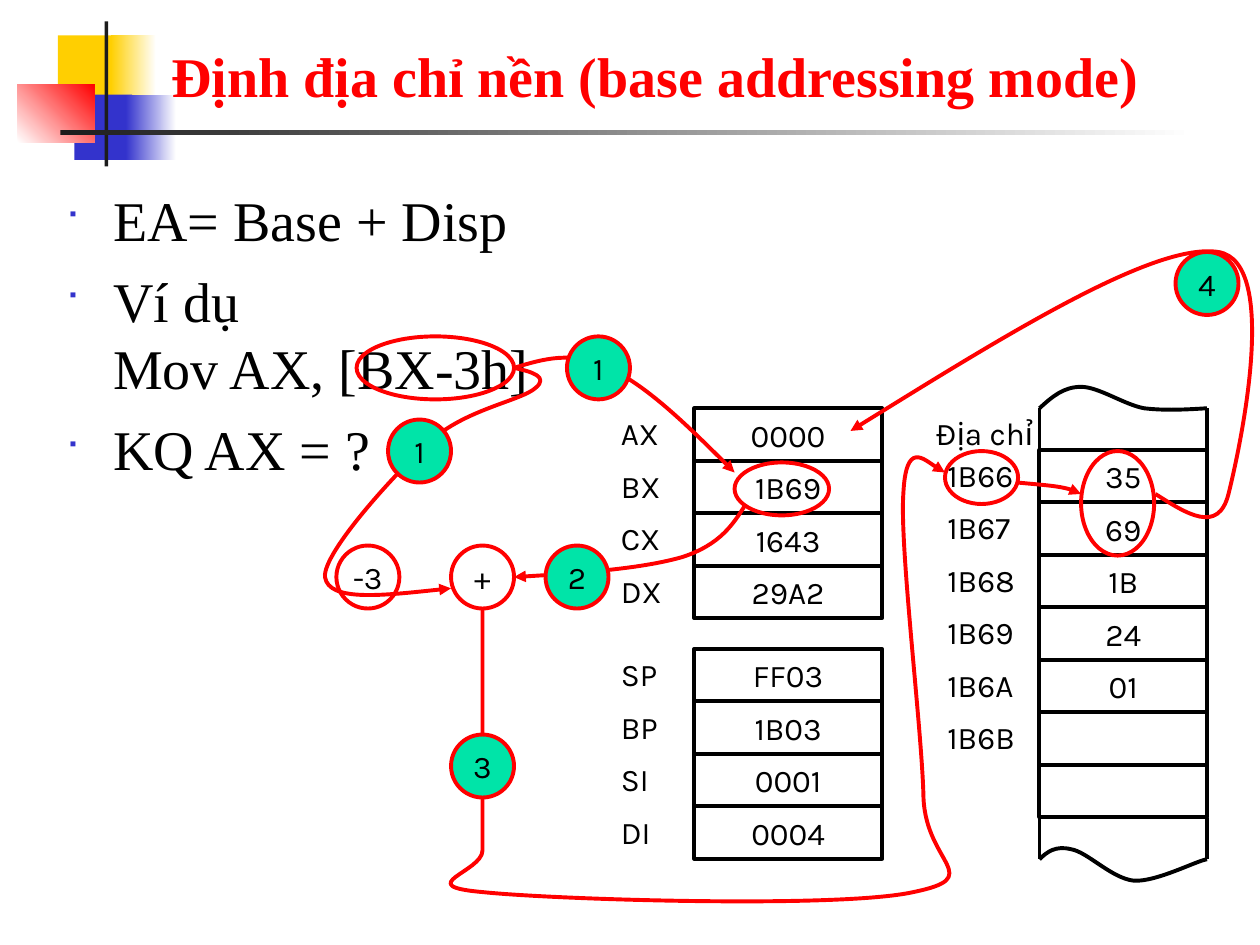
"""Build the slide on base addressing mode with its register and memory diagram."""
from lxml import etree
from pptx import Presentation
from pptx import util as u
from pptx.dml.color import RGBColor
from pptx.enum import shapes, text
from pptx.oxml.ns import qn

COLORS = {"black": "000000", "red": "FF0000", "green": "00E4A8", "yellow": "FFCF01",
          "blue": "3333CC", "dark": "1C1C1C", "white": "FFFFFF"}
TITLE = "Định địa chỉ nền (base addressing mode)"
BULLETS = ["EA= Base + Disp", "Ví dụ\vMov AX, [BX-3h]", "KQ AX = ?"]
DECORATION = [
    ((0.46, 0.28, 0.48, 0.52), ("yellow",), 0),
    ((0.88, 0.28, 0.36, 0.52), ("yellow", "white"), 0),
    ((0.59, 0.75, 0.46, 0.52), ("blue",), 0),
    ((1, 0.75, 0.4, 0.52), ("blue", "white"), 0),
    ((0.14, 0.67, 0.61, 0.46), ("white", "red"), 45),
    ((0.83, 0.17, 0.03, 1.15), ("dark",), 0),
    ((0.48, 1.03, 9, 0.04), ("dark", "white"), 0),
]
REGISTERS = [
    (3.24, [("AX", "0000"), ("BX", "1B69"), ("CX", "1643"), ("DX", "29A2")]),
    (5.15, [("SP", "FF03"), ("BP", "1B03"), ("SI", "0001"), ("DI", "0004")]),
]
MEMORY = [("1B66", "35"), ("1B67", "69"), ("1B68", "1B"), ("1B69", "24"),
          ("1B6A", "01"), ("1B6B", ""), ("", "")]
MEMORY_LEFT, MEMORY_WIDTH, MEMORY_TOP, MEMORY_BOTTOM = 8.25, 1.33, 3.57, 6.49
TORN_EDGES = [
    [(8.25, 3.24), (8.35, 3.15), (8.44, 3.07), (8.58, 3.07), (8.72, 3.07),
     (8.92, 3.21), (9.08, 3.24), (9.25, 3.26), (9.42, 3.25), (9.58, 3.24)],
    [(8.25, 6.82), (8.31, 6.76), (8.38, 6.71), (8.5, 6.74), (8.63, 6.76),
     (8.82, 6.97), (9, 6.99), (9.18, 7), (9.5, 6.83), (9.58, 6.82)],
]
HIGHLIGHTS = [(2.83, 2.67, 1.25, 0.5), (5.83, 3.67, 0.75, 0.42),
              (7.5, 3.58, 0.58, 0.42), (8.58, 3.58, 0.58, 0.83)]
FLOWS = [
    [(4.08, 2.92), (4.31, 2.85), (4.54, 2.78), (4.83, 2.92),
     (5.13, 3.06), (5.48, 3.4), (5.83, 3.75)],
    [(5.92, 4), (5.82, 4.16), (5.72, 4.32), (5.42, 4.42),
     (5.11, 4.51), (4.6, 4.55), (4.08, 4.58)],
    [(4.08, 2.92), (4.22, 2.95), (4.36, 2.99), (4.25, 3.08), (4.14, 3.18),
     (3.69, 3.25), (3.42, 3.5), (3.14, 3.75), (2.56, 4.39), (2.58, 4.58),
     (2.61, 4.78), (3.1, 4.72), (3.58, 4.67)],
    [(3.83, 4.83), (3.83, 5.3), (3.83, 5.76), (3.83, 6.08), (3.83, 6.4),
     (3.83, 6.58), (3.83, 6.75), (3.83, 6.92), (3.26, 7.03), (3.83, 7.08),
     (4.4, 7.14), (6.67, 7.21), (7.25, 7.08), (7.83, 6.96), (7.35, 6.86),
     (7.33, 6.33), (7.32, 5.81), (7.14, 4.35), (7.17, 3.92), (7.19, 3.49),
     (7.44, 3.72), (7.5, 3.75)],
    [(8.08, 3.83), (8.28, 3.85), (8.49, 3.86), (8.58, 3.92)],
    [(9.17, 3.92), (9.42, 4.08), (9.67, 4.24), (9.75, 3.92), (9.83, 3.6),
     (10.17, 2.08), (9.67, 2), (9.17, 1.92), (7.96, 2.67), (6.75, 3.42)],
]
STEPS = [(4.5, 2.67, "1", "green"), (3.08, 3.33, "1", "green"), (2.67, 4.33, "-3", None),
         (4.33, 4.33, "2", "green"), (3.58, 5.83, "3", "green"), (9.33, 2, "4", "green")]
ROW = 5 / 12


def rgb(name):
    return RGBColor.from_string(COLORS[name])


def inches(values):
    return [u.Inches(value) for value in values]


def style_runs(frame, font, size, color, bold=False):
    for para in frame.paragraphs:
        for span in para.runs:
            span.font.name, span.font.size, span.font.bold = font, u.Pt(size), bold
            span.font.color.rgb = rgb(color)


def set_line(shape, color):
    shape.line.color.rgb = rgb(color)
    shape.line.width = u.Pt(2.25)


def add_outline(group, kind, at, color, label="", fill=None):
    shape = group.shapes.add_shape(kind, *inches(at))
    shape.shadow.inherit = False
    if fill:
        shape.fill.solid()
        shape.fill.fore_color.rgb = rgb(fill)
    else:
        shape.fill.background()
    set_line(shape, color)
    if label:
        frame = shape.text_frame
        frame.text = label
        frame.word_wrap = False
        frame.vertical_anchor = text.MSO_ANCHOR.MIDDLE
        frame.paragraphs[0].alignment = text.PP_ALIGN.CENTER
        style_runs(frame, "Karla", 18, "black")


def add_label(group, left, top, width, label):
    frame = group.shapes.add_textbox(*inches((left, top, width, 0.4))).text_frame
    frame.word_wrap = True
    frame.text = label
    frame.paragraphs[0].space_before = u.Pt(11.2)
    style_runs(frame, "Karla", 18, "black")


def add_cells(group, rows, top, left, width, label_left, label_width):
    for index, (label, value) in enumerate(rows):
        y = top + index * ROW
        add_outline(group, shapes.MSO_SHAPE.RECTANGLE, (left, y, width, ROW), "black", value)
        if label:
            add_label(group, label_left, y, label_width, label)


def add_curve(group, points, color, arrow=False):
    builder = group.shapes.build_freeform(*inches(points[0]))
    builder.add_line_segments([inches(point) for point in points[1:]], close=False)
    curve = builder.convert_to_shape()
    segments = list(curve._element.iter(qn("a:lnTo")))
    for start in range(0, len(segments), 3):
        bend = etree.Element(qn("a:cubicBezTo"))
        segments[start].addprevious(bend)
        for segment in segments[start:start + 3]:
            bend.append(segment[0])
            segment.getparent().remove(segment)
    curve.shadow.inherit = False
    curve.fill.background()
    set_line(curve, color)
    if arrow:
        etree.SubElement(curve.line._get_or_add_ln(), qn("a:tailEnd"), type="triangle")


def add_decoration(page):
    for at, colors, angle in DECORATION:
        block = page.shapes.add_shape(shapes.MSO_SHAPE.RECTANGLE, *inches(at))
        block.shadow.inherit = False
        block.line.fill.background()
        if len(colors) == 1:
            block.fill.solid()
            block.fill.fore_color.rgb = rgb(colors[0])
        else:
            block.fill.gradient()
            block.fill.gradient_angle = angle
            for position, (stop, color) in enumerate(zip(block.fill.gradient_stops, colors)):
                stop.position, stop.color.rgb = position, rgb(color)


def add_title(page):
    title = page.shapes.title
    title.left, title.top, title.width, title.height = inches((1.26, 0.23, 8.52, 0.68))
    frame = title.text_frame
    frame.text = TITLE
    frame.vertical_anchor = text.MSO_ANCHOR.BOTTOM
    frame.auto_size = text.MSO_AUTO_SIZE.NONE
    frame.paragraphs[0].alignment = text.PP_ALIGN.LEFT
    style_runs(frame, "Times New Roman", 32, "red", True)
    page.shapes._spTree.append(title._element)


def add_bullets(page):
    frame = page.shapes.add_textbox(*inches((0.42, 1.42, 4, 5.29))).text_frame
    frame.word_wrap = True
    frame.text = BULLETS[0]
    for line in BULLETS[1:]:
        frame.add_paragraph().text = line
    for para in frame.paragraphs:
        para.space_before = u.Pt(8)
        props = para._p.get_or_add_pPr()
        props.set("marL", str(u.Inches(0.38)))
        props.set("indent", str(-u.Inches(0.38)))
        tint = etree.SubElement(props, qn("a:buClr"))
        etree.SubElement(tint, qn("a:srgbClr"), val=COLORS["blue"])
        etree.SubElement(props, qn("a:buSzPct"), val="60000")
        etree.SubElement(props, qn("a:buFont"), typeface="Wingdings")
        etree.SubElement(props, qn("a:buChar"), char="■")
    style_runs(frame, "Times New Roman", 32, "black")


def main():
    deck = Presentation()
    deck.slide_width, deck.slide_height = inches((10, 7.5))
    page = deck.slides.add_slide(deck.slide_layouts[5])
    add_decoration(page)
    add_title(page)
    add_bullets(page)

    registers, memory, flow = (page.shapes.add_group_shape() for _ in range(3))
    for top, rows in REGISTERS:
        add_cells(registers, rows, top, 5.51, 1.49, 4.83, 0.67)
    add_cells(memory, MEMORY, MEMORY_TOP, MEMORY_LEFT, MEMORY_WIDTH, 7.42, 0.92)
    for top in (MEMORY_TOP - 0.33, MEMORY_BOTTOM):
        for x in (MEMORY_LEFT, MEMORY_LEFT + MEMORY_WIDTH):
            side = memory.shapes.add_connector(
                shapes.MSO_CONNECTOR.STRAIGHT, *inches((x, top, x, top + 0.33)))
            set_line(side, "black")
            etree.SubElement(side._element.spPr, qn("a:effectLst"))
    for edge in TORN_EDGES:
        add_curve(memory, edge, "black")
    add_label(memory, 7.33, 3.24, 1.08, "Địa chỉ")

    for at in HIGHLIGHTS:
        add_outline(flow, shapes.MSO_SHAPE.OVAL, at, "red")
    add_outline(flow, shapes.MSO_SHAPE.OVAL, (3.58, 4.33, 0.5, 0.5), "red", "+")
    for points in FLOWS:
        add_curve(flow, points, "red", arrow=True)
    for x, y, label, fill in STEPS:
        add_outline(flow, shapes.MSO_SHAPE.OVAL, (x, y, 0.5, 0.5), "red", label, fill)
    deck.save("out.pptx")


if __name__ == "__main__":
    main()
